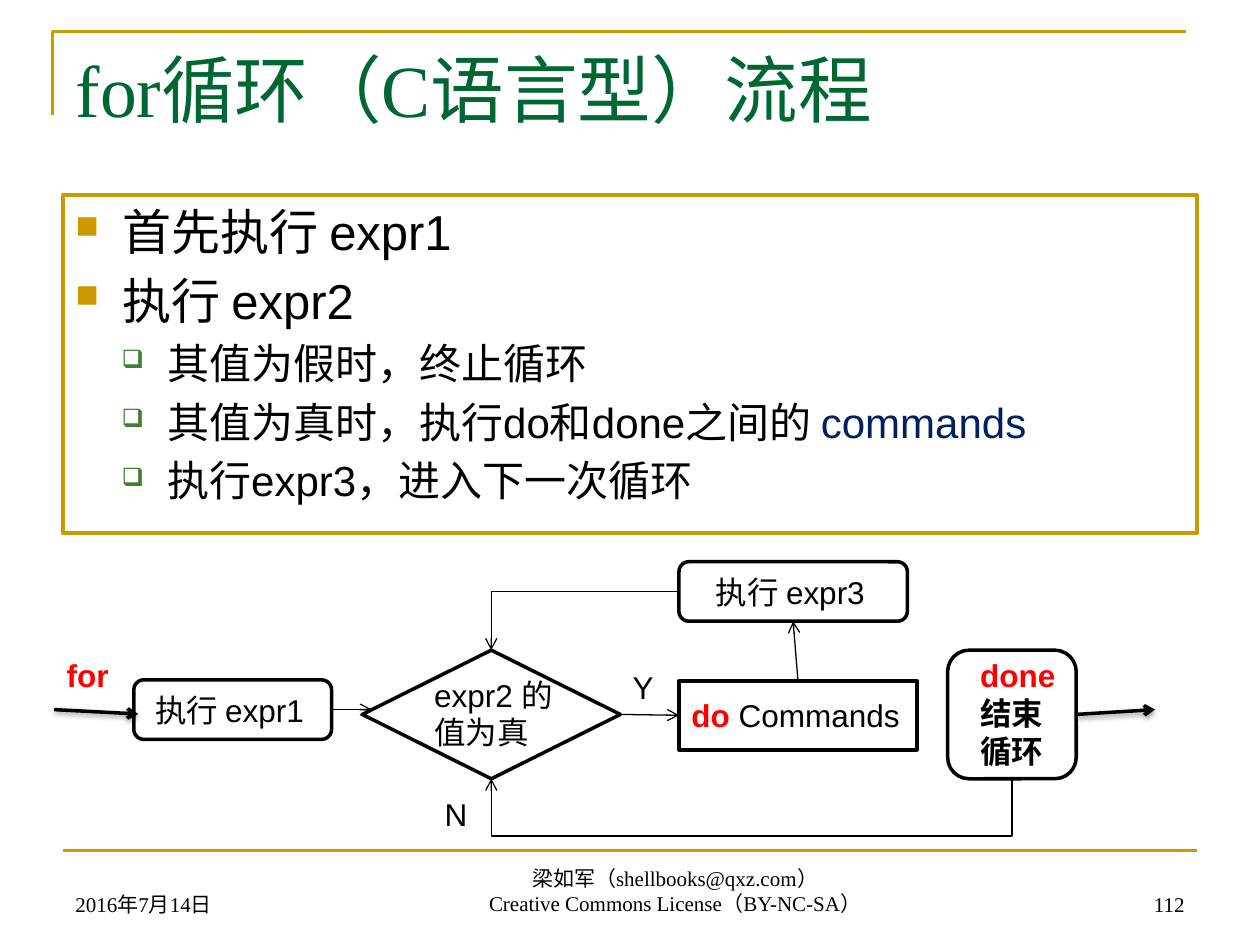
import pptx
import pptx.dml.color
import pptx.enum.shapes
import pptx.enum.text
import pptx.oxml
import pptx.oxml.ns
import pptx.util

Pt = pptx.util.Pt
RGB = pptx.dml.color.RGBColor
SHAPE = pptx.enum.shapes.MSO_SHAPE
LINK = pptx.enum.shapes.MSO_CONNECTOR
ALIGN = pptx.enum.text.PP_ALIGN
ANCHOR = pptx.enum.text.MSO_ANCHOR
qn = pptx.oxml.ns.qn

GOLD = RGB(0xCC, 0x99, 0x00)
GREEN = RGB(0x00, 0x66, 0x33)
LEAF = RGB(0x3B, 0x81, 0x2F)
NAVY = RGB(0x00, 0x20, 0x60)
RED = RGB(0xFF, 0x00, 0x00)
BLACK = RGB(0x00, 0x00, 0x00)
WHITE = RGB(0xFF, 0xFF, 0xFF)

TOP, LEFT, BOTTOM, RIGHT = range(4)
SERIF = "Times New Roman"


def element(xml):
    namespace = pptx.oxml.ns.nsdecls("a")
    return pptx.oxml.parse_xml(xml.replace(">", f" {namespace}>", 1))


def write(paragraph, text, size=18, font="Arial", color=BLACK, bold=False,
          align=ALIGN.LEFT):
    """Add one formatted run to a paragraph."""
    paragraph.alignment = align
    run = paragraph.add_run()
    run.text = text
    run.font.size = Pt(size)
    run.font.name = font
    run.font.bold = bold
    run.font.color.rgb = color


class Page:
    """The current slide and the style of its elements."""

    def __init__(self, deck):
        self.slide = deck.slides.add_slide(deck.slide_layouts[5])
        self.shapes = self.slide.shapes

    def title(self, text, box):
        title = self.shapes.title
        title.left, title.top, title.width, title.height = map(Pt, box)
        frame = title.text_frame
        frame.vertical_anchor = ANCHOR.TOP
        frame.auto_size = pptx.enum.text.MSO_AUTO_SIZE.NONE
        write(frame.paragraphs[0], text, size=42, font=SERIF, color=GREEN)

    def text(self, box, *lines, anchor=ANCHOR.TOP, **style):
        frame = self.shapes.add_textbox(*map(Pt, box)).text_frame
        frame.word_wrap = True
        frame.vertical_anchor = anchor
        for number, line in enumerate(lines):
            paragraph = frame.add_paragraph() if number else frame.paragraphs[0]
            write(paragraph, line, **style)
        return frame

    def bullets(self, box, items):
        panel = self.shapes.add_textbox(*map(Pt, box))
        panel.line.color.rgb = GOLD
        panel.line.width = Pt(2.25)
        frame = panel.text_frame
        frame.word_wrap = True
        levels = [(28, 27, 27, "■", GOLD, 65), (24, 52.5, 26, "❑", LEAF, 60)]
        for number, (level, runs) in enumerate(items):
            size, margin, hang, mark, color, percent = levels[level]
            paragraph = frame.add_paragraph() if number else frame.paragraphs[0]
            paragraph.level = level
            paragraph.space_before = Pt(size * 0.2)
            for text, ink in runs:
                write(paragraph, text, size=size, color=ink)
            properties = paragraph._p.get_or_add_pPr()
            properties.set("marL", str(Pt(margin)))
            properties.set("indent", str(-Pt(hang)))
            for xml in (f'<a:buClr><a:srgbClr val="{color}"/></a:buClr>',
                        f'<a:buSzPct val="{percent * 1000}"></a:buSzPct>',
                        f'<a:buChar char="{mark}"></a:buChar>'):
                properties.append(element(xml))

    def node(self, kind, box, *runs, inset=7.2):
        node = self.shapes.add_shape(kind, *map(Pt, box))
        node.shadow.inherit = False
        node.fill.solid()
        node.fill.fore_color.rgb = WHITE
        node.line.color.rgb = BLACK
        node.line.width = Pt(2)
        frame = node.text_frame
        frame.vertical_anchor = ANCHOR.MIDDLE
        frame.margin_left, frame.margin_right = Pt(inset), 0
        for text, style in runs:
            write(frame.paragraphs[0], text, **style)
        return node

    def line(self, start, end, kind=LINK.STRAIGHT, color=BLACK, width=0.75,
             arrow=True, shadow=False, source=None, target=None):
        """Draw a line; source and target are (node, side) pairs."""
        line = self.shapes.add_connector(kind, *map(Pt, start + end))
        if source:
            line.begin_connect(*source)
        if target:
            line.end_connect(*target)
        line.line.color.rgb = color
        line.line.width = Pt(width)
        if arrow:
            line.line._get_or_add_ln().append(
                element('<a:tailEnd type="arrow"></a:tailEnd>'))
        effect = (f'<a:outerShdw blurRad="{Pt(3.1)}" dist="{Pt(1.6)}" dir="5400000">'
                  '<a:srgbClr val="000000"><a:alpha val="38000"/></a:srgbClr>'
                  '</a:outerShdw>') if shadow else ""
        line._element.spPr.append(element(f"<a:effectLst>{effect}</a:effectLst>"))
        return line

    def corner(self, source, target):
        """Elbow with a single bend."""
        line = self.line((0, 0), (0, 0), LINK.ELBOW, source=source, target=target)
        line._element.spPr.find(qn("a:prstGeom")).set("prst", "bentConnector2")

    def underpass(self, source, target, depth):
        """Elbow that dips below two nodes standing on the same level."""
        line = self.line((0, 0), (0, 0), LINK.ELBOW, source=source, target=target)
        start, end, level = line.begin_x, line.end_x, line.begin_y
        thin, span = Pt(0.1), end - start
        line.left, line.top = (start + end - thin) // 2, level - span // 2
        line.width, line.height = thin, span
        transform = line._element.spPr.find(qn("a:xfrm"))
        transform.set("rot", str(270 * 60000))
        transform.set("flipH", "1")
        geometry = line._element.spPr.find(qn("a:prstGeom"))
        for old in list(geometry):
            geometry.remove(old)
        bend = round(Pt(depth) / thin * 100000)
        geometry.append(element(
            f'<a:avLst><a:gd name="adj1" fmla="val {bend}"/></a:avLst>'))

    def frame_corner(self, start, *points):
        builder = self.shapes.build_freeform(*map(Pt, start))
        builder.add_line_segments([tuple(map(Pt, p)) for p in points], close=False)
        outline = builder.convert_to_shape()
        outline.shadow.inherit = False
        outline.fill.background()
        outline.line.color.rgb = GOLD
        outline.line.width = Pt(1.5)


def main():
    deck = pptx.Presentation()
    deck.slide_width, deck.slide_height = Pt(720), Pt(540)
    page = Page(deck)

    # Frame and title
    page.frame_corner((30, 66), (30, 18), (678, 18))
    page.line((36, 486), (684, 486), color=GOLD, width=1.5, arrow=False)
    page.title("for循环（C语言型）流程", (36, 21.6, 648, 90))

    # Explanation
    page.bullets((36, 111.6, 648, 193), [
        (0, [("首先执行 expr1", BLACK)]),
        (0, [("执行 expr2", BLACK)]),
        (1, [("其值为假时，终止循环", BLACK)]),
        (1, [("其值为真时，执行do和done之间的 ", BLACK), ("commands", NAVY)]),
        (1, [("执行expr3，进入下一次循环", BLACK)]),
    ])

    # Footer
    footer = dict(anchor=ANCHOR.BOTTOM, size=12, font=SERIF)
    page.text((36, 491.5, 168, 36), "2016年7月14日", **footer)
    page.text((173, 491, 425.5, 36), "梁如军（shellbooks@qxz.com）",
              "Creative Commons License（BY-NC-SA）", align=ALIGN.CENTER, **footer)
    page.text((516, 491.5, 168, 36), "112", align=ALIGN.RIGHT, **footer)

    # Flowchart nodes
    keyword = dict(color=RED, bold=True)
    test = page.node(SHAPE.DIAMOND, (207, 371.5, 147.5, 73.5))
    page.text((241, 382.5, 91, 51), "expr2 的值为真")
    step = page.node(SHAPE.ROUNDED_RECTANGLE, (388, 321, 130.5, 34),
                     ("执行 expr3", {}), inset=19.5)
    init = page.node(SHAPE.ROUNDED_RECTANGLE, (76.5, 388.5, 113, 34),
                     ("执行 expr1", {}), inset=10.5)
    done = page.node(SHAPE.ROUNDED_RECTANGLE, (541.5, 371.5, 73.5, 73.5))
    done_label = page.text((553, 371.5, 67.5, 73), "done", **keyword)
    write(done_label.paragraphs[0], "结束循环", bold=True)
    body = page.node(SHAPE.RECTANGLE, (388, 389, 136, 39.5),
                     ("do", keyword), (" Commands", {}))

    # Branch and entry labels
    page.text((354.5, 378, 28, 29), "Y")
    page.text((247, 451, 28, 29), "N")
    page.text((31, 371.5, 40, 29), "for", **keyword)

    # Flow
    page.line((31, 405.5), (79, 408), width=2, shadow=True)
    page.line((615, 408), (660, 405.5), width=2, shadow=True, source=(done, RIGHT))
    page.line((190, 405.5), (212.5, 405.5), source=(init, RIGHT))
    page.line((354.5, 408), (388, 409), source=(test, RIGHT), target=(body, LEFT))
    page.line((456, 389), (453, 355), source=(body, TOP), target=(step, BOTTOM))
    page.corner((step, LEFT), (test, TOP))
    page.underpass((test, BOTTOM), (done, BOTTOM), depth=29)

    deck.save("out.pptx")


if __name__ == "__main__":
    main()
